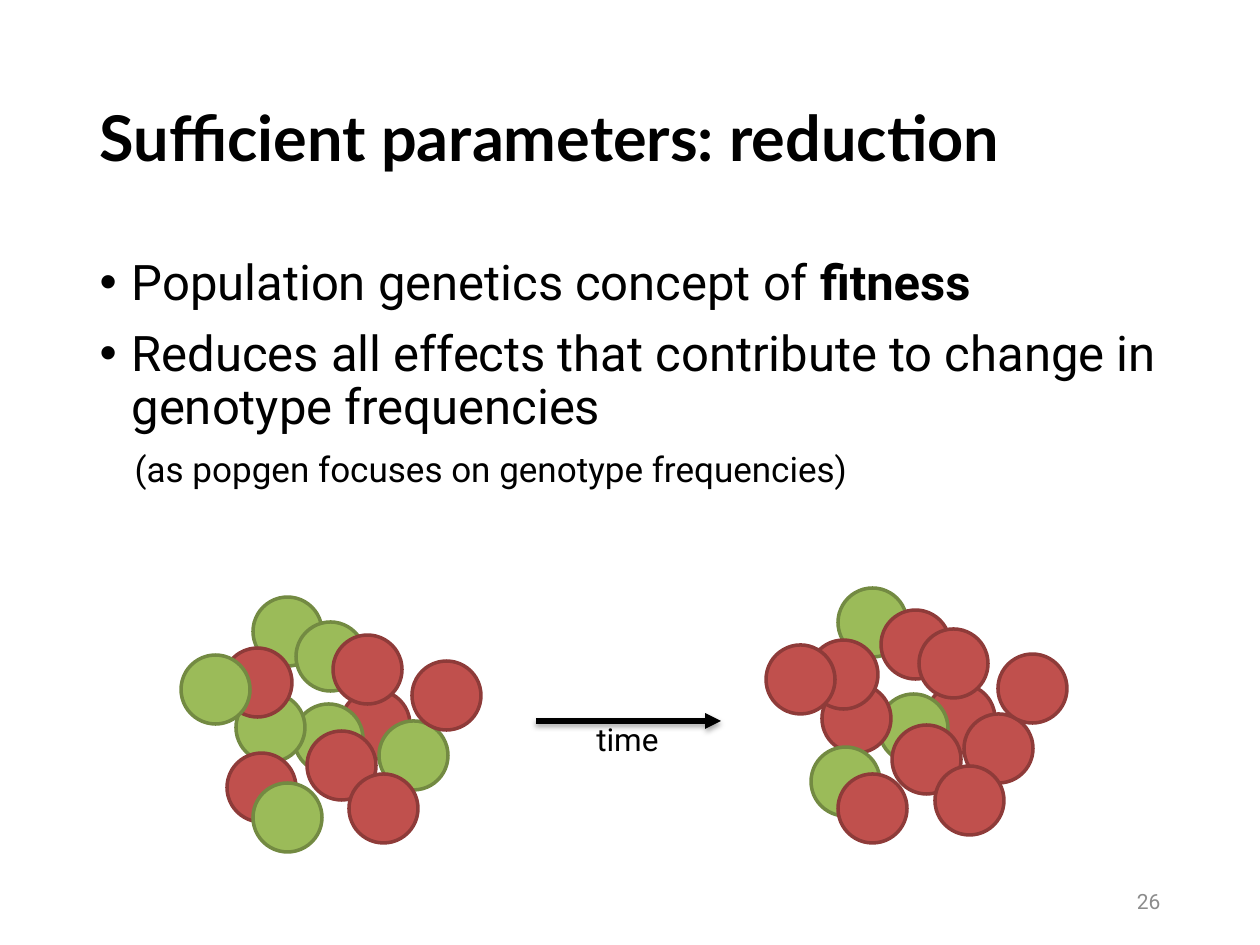
from typing import NamedTuple

from lxml import etree
from pptx import Presentation
from pptx.dml.color import RGBColor
from pptx.enum.shapes import MSO_CONNECTOR, MSO_SHAPE
from pptx.enum.text import MSO_ANCHOR, MSO_AUTO_SIZE, PP_ALIGN
from pptx.oxml import parse_xml
from pptx.oxml.ns import nsdecls, qn
from pptx.util import Emu, Pt

OVAL = MSO_SHAPE.OVAL
STRAIGHT = MSO_CONNECTOR.STRAIGHT
TOP, MIDDLE = MSO_ANCHOR.TOP, MSO_ANCHOR.MIDDLE
LEFT, CENTER, RIGHT = PP_ALIGN.LEFT, PP_ALIGN.CENTER, PP_ALIGN.RIGHT
NO_FIT = MSO_AUTO_SIZE.NONE
PX_PER_INCH = 126
DIAMETER = 69


class Genotype(NamedTuple):
    fill: str
    outline: str


class Individual(NamedTuple):
    left: int
    top: int
    genotype: Genotype


RED = Genotype("C0504D", "8E3B39")
GREEN = Genotype("9BBB59", "738A42")

BEFORE = [
    Individual(341, 690, RED), Individual(253, 597, GREEN),
    Individual(296, 622, GREEN), Individual(294, 704, GREEN),
    Individual(236, 693, GREEN), Individual(379, 721, GREEN),
    Individual(223, 648, RED), Individual(227, 753, RED),
    Individual(333, 635, RED), Individual(307, 731, RED),
    Individual(412, 661, RED), Individual(349, 774, RED),
    Individual(253, 783, GREEN), Individual(181, 655, GREEN),
]
AFTER = [
    Individual(926, 684, RED), Individual(838, 588, GREEN),
    Individual(881, 610, RED), Individual(879, 694, GREEN),
    Individual(822, 684, RED), Individual(964, 714, RED),
    Individual(809, 640, RED), Individual(811, 747, GREEN),
    Individual(919, 629, RED), Individual(892, 725, RED),
    Individual(998, 654, RED), Individual(935, 766, RED),
    Individual(838, 774, RED), Individual(766, 645, RED),
]


def px(length: int) -> Emu:
    return Emu(round(length * 914400 / PX_PER_INCH))


def rgb(value: str) -> RGBColor:
    return RGBColor.from_string(value)


def place(box, left: int, top: int, width: int, height: int, anchor=TOP):
    """Move a text shape and return its wrapped text frame."""
    box.left, box.top, box.width, box.height = map(px, (left, top, width, height))
    frame = box.text_frame
    frame.word_wrap = True
    frame.auto_size = NO_FIT
    frame.vertical_anchor = anchor
    return frame


def add_text(para, text: str, *, size: int, font="Roboto", color="000000", bold=False):
    span = para.add_run()
    span.text = text
    span.font.name = font
    span.font.size = Pt(size)
    span.font.bold = bold
    span.font.color.rgb = rgb(color)


def set_layout(para, *, align=LEFT, before=0, spacing=0.9, margin=0, bullet=""):
    para.alignment = align
    para.space_before = Pt(before)
    para.line_spacing = spacing
    properties = para._p.get_or_add_pPr()
    properties.set("marL", str(px(margin)))
    properties.set("indent", str(px(-margin if bullet else 0)))
    if bullet:
        etree.SubElement(properties, qn("a:buChar"), char=bullet)
    else:
        etree.SubElement(properties, qn("a:buNone"))


def add_label(page, text: str, bounds: tuple, *, align, size: int, color: str, anchor=TOP):
    box = page.shapes.add_textbox(0, 0, 0, 0)
    para = place(box, *bounds, anchor=anchor).paragraphs[0]
    para.alignment = align
    add_text(para, text, size=size, color=color)


def add_individual(page, individual: Individual):
    circle = page.shapes.add_shape(
        OVAL, px(individual.left), px(individual.top), px(DIAMETER), px(DIAMETER))
    circle.shadow.inherit = False
    circle.fill.solid()
    circle.fill.fore_color.rgb = rgb(individual.genotype.fill)
    circle.line.color.rgb = rgb(individual.genotype.outline)
    circle.line.width = Pt(2)


def add_time_arrow(page, left: int, right: int, level: int):
    arrow = page.shapes.add_connector(STRAIGHT, px(left), px(level), px(right), px(level))
    arrow.line.color.rgb = rgb("000000")
    arrow.line.width = Pt(3)
    etree.SubElement(arrow.line._get_or_add_ln(), qn("a:tailEnd"), type="triangle")
    arrow._element.spPr.append(parse_xml(
        f'<a:effectLst {nsdecls("a")}>'
        f'<a:outerShdw blurRad="{Pt(3.1)}" dist="{Pt(1.8)}" dir="5400000" rotWithShape="0">'
        '<a:srgbClr val="000000"><a:alpha val="35000"/></a:srgbClr>'
        '</a:outerShdw></a:effectLst>'))


def fill_body(frame):
    concept = frame.paragraphs[0]
    set_layout(concept, margin=32, bullet="•")
    add_text(concept, "Population genetics concept of ", size=28)
    add_text(concept, "fitness", size=28, bold=True)

    reduction = frame.add_paragraph()
    set_layout(reduction, before=10, margin=32, bullet="•")
    add_text(reduction, "Reduces all effects that contribute to change in "
             "genotype frequencies", size=28)

    remark = frame.add_paragraph()
    set_layout(remark, before=10, margin=35)
    add_text(remark, "(as popgen focuses on genotype frequencies)", size=20)


def main():
    deck = Presentation()
    deck.slide_width, deck.slide_height = px(1260), px(945)
    page = deck.slides.add_slide(deck.slide_layouts[1])

    title = place(page.shapes.title, 87, 50, 1086, 183, anchor=MIDDLE).paragraphs[0]
    set_layout(title)
    add_text(title, "Sufficient parameters: reduction", size=36, font="Lato", bold=True)
    fill_body(place(page.placeholders[1], 87, 252, 1086, 600))

    add_label(page, "26", (890, 876, 283, 50), align=RIGHT, size=12,
              color="8C8C8C", anchor=MIDDLE)
    for individual in BEFORE + AFTER:
        add_individual(page, individual)
    add_time_arrow(page, 536, 721, 721)
    add_label(page, "time", (558, 714, 139, 50), align=CENTER, size=18, color="000000")
    deck.save("out.pptx")


if __name__ == "__main__":
    main()
